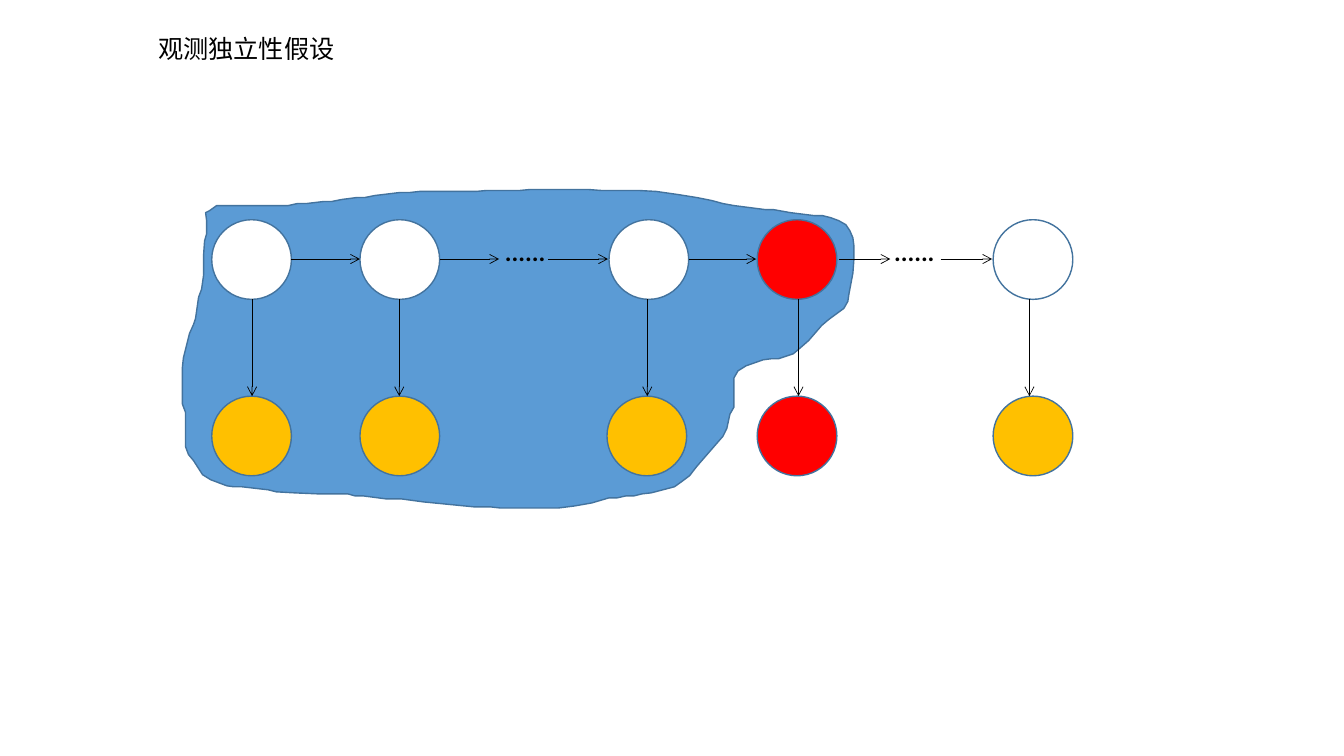
from lxml import etree
from pptx import Presentation
from pptx.dml.color import RGBColor
from pptx.enum.shapes import MSO_CONNECTOR, MSO_SHAPE
from pptx.oxml.ns import qn
from pptx.util import Inches, Pt

WHITE, AMBER, RED, BLUE, EDGE, BLACK = (
    "FFFFFF", "FFC000", "FF0000", "5B9BD5", "43739E", "000000")
DIAMETER = 0.79
HIDDEN_TOP, OBSERVED_TOP = 2.18, 3.93
CHAIN_Y = 2.57

# Left of hidden state, left of observation, x of the arrow between, fills
STATES = [
    (2.1, 2.1, 2.5, WHITE, AMBER),
    (3.57, 3.57, 3.96, WHITE, AMBER),
    (6.04, 6.02, 6.42, WHITE, AMBER),
    (7.51, 7.51, 7.92, RED, RED),
    (9.85, 9.85, 10.21, WHITE, AMBER),
]
CHAIN_ARROWS = [(2.89, 3.57), (4.36, 4.95), (5.44, 6.03),
                (6.83, 7.5), (8.32, 8.83), (9.33, 9.84)]

# Outline of the shaded region, in hundredths of an inch
REGION = [
    (204, 211), (205, 219), (205, 232), (203, 239), (202, 253), (202, 273),
    (200, 287), (197, 295), (194, 316), (192, 322), (188, 331), (184, 347),
    (182, 355), (181, 364), (181, 401), (184, 409), (184, 443), (187, 451),
    (192, 457), (201, 471), (209, 476), (225, 482), (232, 483), (240, 483),
    (266, 486), (274, 488), (292, 489), (315, 490), (345, 490), (352, 492),
    (360, 492), (383, 495), (398, 495), (420, 498), (471, 503), (487, 503),
    (496, 504), (554, 504), (570, 502), (587, 499), (604, 494), (612, 494),
    (621, 492), (629, 492), (637, 490), (646, 489), (669, 483), (676, 478),
    (684, 472), (691, 463), (697, 456), (717, 433), (721, 425), (724, 411),
    (728, 404), (728, 375), (732, 368), (740, 363), (757, 357), (765, 356),
    (772, 356), (787, 351), (794, 345), (802, 338), (815, 323), (822, 317),
    (837, 306), (841, 299), (842, 292), (846, 271), (847, 257), (847, 244),
    (846, 236), (843, 229), (839, 223), (832, 219), (824, 216), (816, 214),
    (808, 214), (784, 211), (767, 208), (759, 208), (728, 204), (717, 202),
    (706, 199), (691, 196), (672, 193), (651, 190), (633, 189), (596, 189),
    (583, 188), (526, 188), (516, 189), (483, 189), (472, 190), (416, 190),
    (407, 191), (397, 191), (372, 194), (362, 196), (354, 196), (339, 198),
    (329, 200), (321, 200), (304, 202), (295, 202), (286, 204), (215, 204),
    (208, 209),
]


def rgb(color):
    return RGBColor.from_string(color)


def paint(s, fill):
    s.shadow.inherit = False
    s.fill.solid()
    s.fill.fore_color.rgb = rgb(fill)
    s.line.color.rgb = rgb(EDGE)
    s.line.width = Pt(1)


def add_region(slide, points, fill):
    builder = slide.shapes.build_freeform(*points[0], scale=Inches(1) / 100)
    builder.add_line_segments(points[1:], close=True)
    paint(builder.convert_to_shape(), fill)


def add_node(slide, left, top, fill):
    s = slide.shapes.add_shape(MSO_SHAPE.OVAL, Inches(left), Inches(top),
                               Inches(DIAMETER), Inches(DIAMETER))
    paint(s, fill)


def add_arrow(slide, x1, y1, x2, y2):
    s = slide.shapes.add_connector(MSO_CONNECTOR.STRAIGHT, Inches(x1),
                                   Inches(y1), Inches(x2), Inches(y2))
    s.line.color.rgb = rgb(BLACK)
    s.line.width = Pt(0.5)
    etree.SubElement(s.line._get_or_add_ln(), qn("a:tailEnd"), type="arrow")
    etree.SubElement(s._element.spPr, qn("a:effectLst"))


def add_label(slide, text, left, top, width, bold=False):
    s = slide.shapes.add_textbox(Inches(left), Inches(top), Inches(width),
                                 Inches(0.4))
    tf = s.text_frame
    tf.word_wrap = True
    p = tf.paragraphs[0]
    p.text = text
    p.font.name = "Calibri"
    p.font.size = Pt(18)
    p.font.bold = bold
    p.font.color.rgb = rgb(BLACK)


def main():
    prs = Presentation()
    prs.slide_width, prs.slide_height = Inches(13.33), Inches(7.5)
    slide = prs.slides.add_slide(prs.slide_layouts[6])

    add_region(slide, REGION, BLUE)
    for hidden_x, observed_x, arrow_x, hidden_fill, observed_fill in STATES:
        add_node(slide, hidden_x, HIDDEN_TOP, hidden_fill)
        add_node(slide, observed_x, OBSERVED_TOP, observed_fill)
        add_arrow(slide, arrow_x, HIDDEN_TOP + DIAMETER, arrow_x, OBSERVED_TOP)
    for start, end in CHAIN_ARROWS:
        add_arrow(slide, start, CHAIN_Y, end, CHAIN_Y)
    for left in (4.91, 8.77):
        add_label(slide, "......", left, 2.3, 0.77, bold=True)
    add_label(slide, "观测独立性假设", 1.47, 0.28, 3.21)

    prs.save("out.pptx")


if __name__ == "__main__":
    main()
